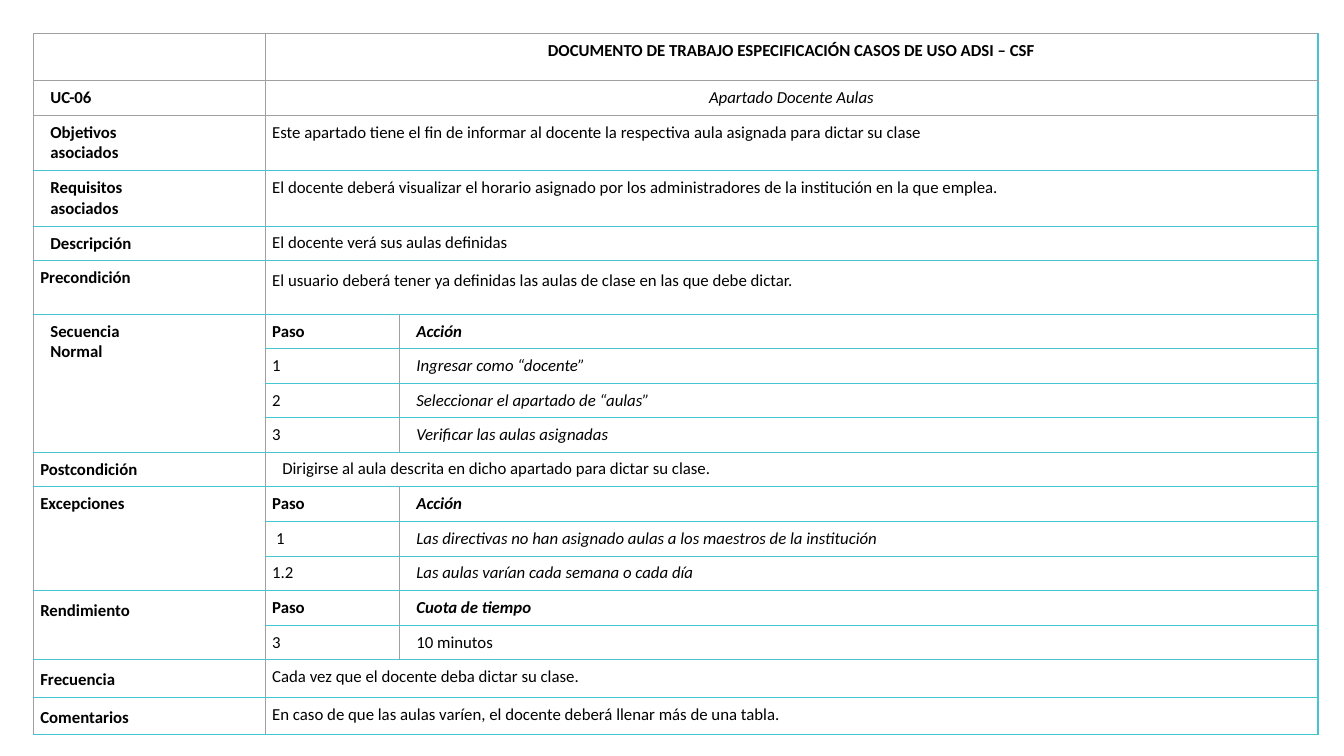
from lxml.etree import SubElement
from pptx import Presentation
from pptx.dml.color import RGBColor as RGB
from pptx.enum.text import PP_ALIGN as Align
from pptx.oxml.ns import qn
from pptx.util import Inches as In, Pt

BLACK = RGB(0x00, 0x00, 0x00)
TEAL = RGB(0x47, 0xC4, 0xD1)
GREY = RGB(0xA0, 0xA0, 0xA0)
COLS = [2.3, 1.33, 9.11]
PAD = 0.07
STEP = 0.34  # height of a one-line row

# label, label indent, label line spacing, row height, text, text format
HEAD = [
    ("", 0, 1, 0.47, "DOCUMENTO DE TRABAJO ESPECIFICACIÓN CASOS DE USO ADSI – CSF",
     dict(bold=True, align=Align.CENTER)),
    ("UC-06", 0.1, 1, STEP, "Apartado Docente Aulas",
     dict(italic=True, align=Align.CENTER)),
    ("Objetivos\nasociados", 0.1, 1, 0.55,
     "Este apartado tiene el fin de informar al docente la respectiva aula "
     "asignada para dictar su clase", {}),
    ("Requisitos\nasociados", 0.1, 1, 0.55,
     "El docente deberá visualizar el horario asignado por los administradores "
     "de la institución en la que emplea.", {}),
    ("Descripción", 0.1, 1, STEP, "El docente verá sus aulas definidas",
     dict(space=0.95)),
    ("Precondición", 0, 1, 0.53,
     "El usuario deberá tener ya definidas las aulas de clase en las que debe dictar.",
     dict(space=1.15)),
]
POST = [
    ("Postcondición", 0, 1, STEP,
     "Dirigirse al aula descrita en dicho apartado para dictar su clase.",
     dict(indent=0.1, space=0.95)),
]
FOOT = [
    ("Frecuencia", 0, 1.15, 0.37, "Cada vez que el docente deba dictar su clase.", {}),
    ("Comentarios", 0, 1.15, 0.37,
     "En caso de que las aulas varíen, el docente deberá llenar más de una tabla.", {}),
]
# label, label indent, label line spacing, heading, steps, italic steps
NORMAL = ("Secuencia\nNormal", 0.1, 1, "Acción",
          [("1", "Ingresar como “docente”"),
           ("2", "Seleccionar el apartado de “aulas”"),
           ("3", "Verificar las aulas asignadas")], True)
EXCEPT = ("Excepciones", 0, 1, "Acción",
          [("1", "Las directivas no han asignado aulas a los maestros de la institución"),
           ("1.2", "Las aulas varían cada semana o cada día")], True)
TIMES = ("Rendimiento", 0, 1.15, "Cuota de tiempo", [("3", "10 minutos")], False)


def write(cell, text, bold=False, italic=False, indent=0, space=1, align=Align.LEFT):
    cell.text_frame.text = text
    for para in cell.text_frame.paragraphs:
        para.alignment = align
        para.line_spacing = space
        if indent:
            para._p.get_or_add_pPr().set("marL", str(In(indent)))
        para.font.size = Pt(12)
        for run in para.runs:
            font = run.font
            font.name, font.size = "Calibri", Pt(12)
            font.bold, font.italic = bold, italic
            font.color.rgb = BLACK


def edge(cell, side, color, width):
    line = SubElement(cell._tc.get_or_add_tcPr(), qn("a:ln" + side), w=str(Pt(width)))
    fill = SubElement(line, qn("a:solidFill"))
    SubElement(fill, qn("a:srgbClr"), val=str(color))


def frame(table):
    """Clear the fills and rule the cells: grey uprights and head, teal elsewhere."""
    last = len(COLS) - 1
    for r, row in enumerate(table.rows):
        for c, cell in enumerate(row.cells):
            cell.margin_left = cell.margin_right = In(PAD)
            cell.margin_top = cell.margin_bottom = In(PAD)
            # a merged text cell reaches the right edge of the table
            right = c == last or cell.is_merge_origin and cell.span_width > 1
            edge(cell, "L", GREY, 0.75)
            edge(cell, "R", TEAL if right else GREY, 1.5 if right else 0.75)
            edge(cell, "T", GREY if r < 3 else TEAL, 0.75)
            edge(cell, "B", GREY if r < 2 else TEAL, 0.75)
            cell.fill.background()


def fields(table, top, items):
    """Fill one row per item, its text spanning both right columns."""
    for r, (label, indent, space, high, text, style) in enumerate(items, top):
        table.rows[r].height = In(high)
        table.cell(r, 1).merge(table.cell(r, 2))
        write(table.cell(r, 0), label, bold=True, indent=indent, space=space)
        write(table.cell(r, 1), text, **style)
    return top + len(items)


def steps(table, top, block):
    """Fill a numbered list of steps beside one tall label."""
    label, indent, space, head, items, slant = block
    end = top + len(items)
    table.cell(top, 0).merge(table.cell(end, 0))
    write(table.cell(top, 0), label, bold=True, indent=indent, space=space)
    for r, (num, text) in enumerate([("Paso", head)] + items, top):
        first = r == top
        table.rows[r].height = In(STEP)
        shift = 0.04 if block is EXCEPT and num == "1" else 0
        write(table.cell(r, 1), num, bold=first, indent=shift)
        write(table.cell(r, 2), text, bold=first, italic=first or slant, indent=0.1)
    return end + 1


def sheet(slide, left, top):
    """Place the use case table with its corner at left, top."""
    parts = [(fields, HEAD), (steps, NORMAL), (fields, POST),
             (steps, EXCEPT), (steps, TIMES), (fields, FOOT)]
    count = sum(len(data) if fill is fields else len(data[4]) + 1
                for fill, data in parts)
    table = slide.shapes.add_table(count, len(COLS), In(left), In(top),
                                   In(sum(COLS)), In(STEP * count)).table
    table.first_row = table.horz_banding = False
    for col, wide in zip(table.columns, COLS):
        col.width = In(wide)
    row = 0
    for fill, data in parts:
        row = fill(table, row, data)
    frame(table)


def main():
    deck = Presentation()
    deck.slide_width, deck.slide_height = In(13.33), In(7.5)
    sheet(deck.slides.add_slide(deck.slide_layouts[6]), 0.33, 0.33)
    deck.save("out.pptx")


if __name__ == "__main__":
    main()
